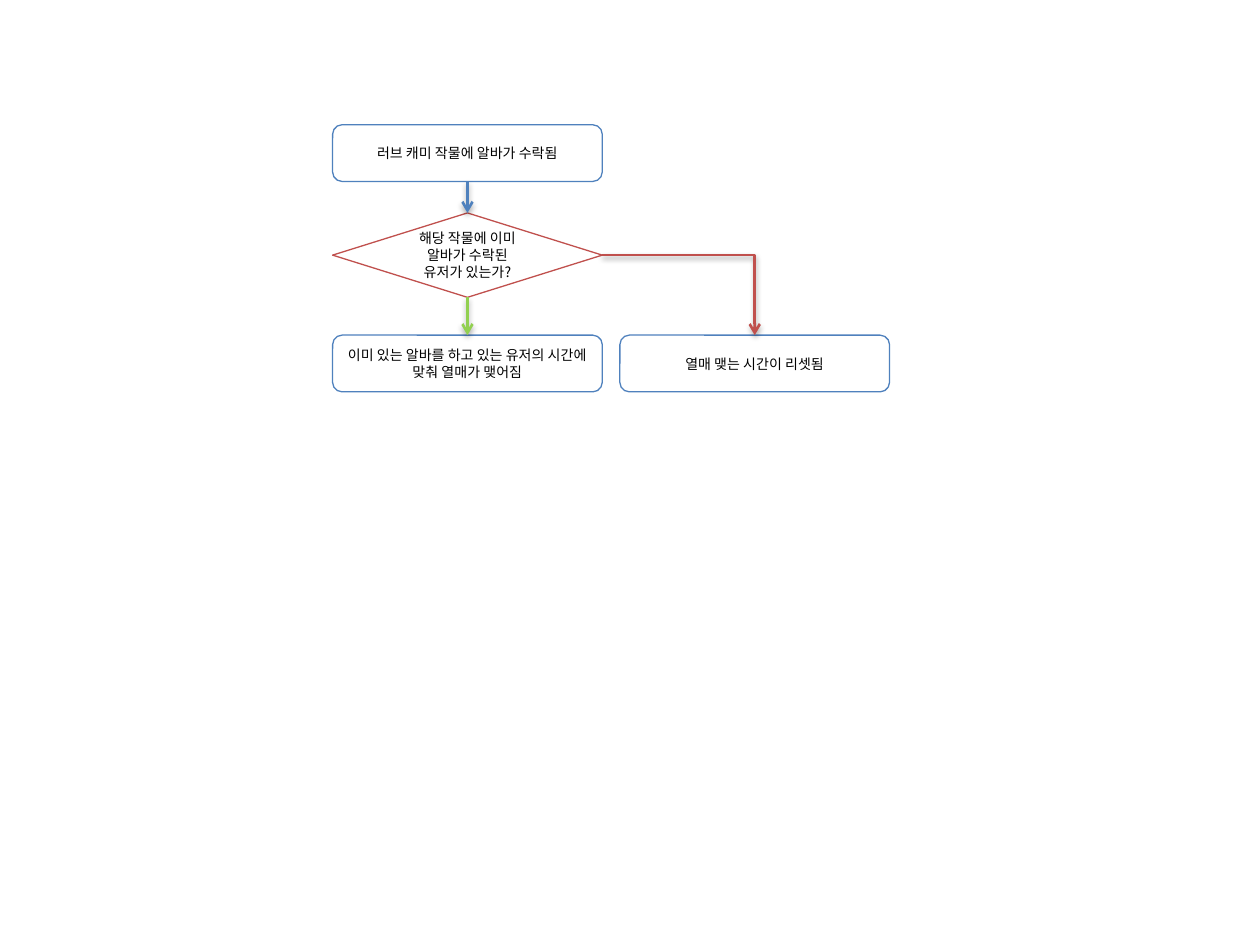
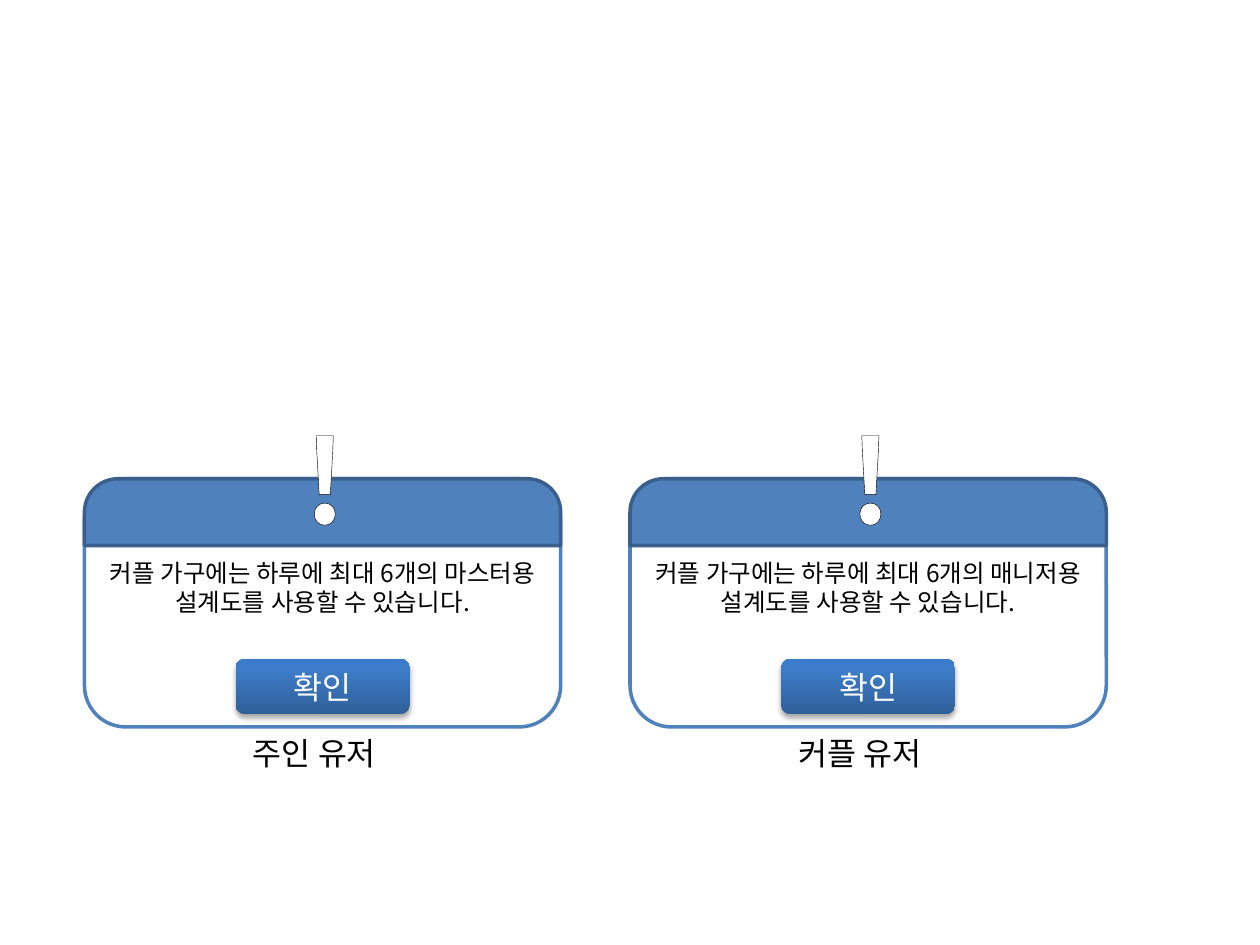
from copy import deepcopy
from typing import NamedTuple

from lxml import etree
from pptx import Presentation
from pptx.dml.color import RGBColor
from pptx.enum.shapes import MSO_CONNECTOR, MSO_SHAPE
from pptx.enum.text import MSO_ANCHOR, MSO_AUTO_SIZE, PP_ALIGN
from pptx.oxml.ns import qn
from pptx.util import Inches, Pt

ROUND = MSO_SHAPE.ROUNDED_RECTANGLE
DECISION = MSO_SHAPE.FLOWCHART_DECISION
HEADER = MSO_SHAPE.ROUND_2_SAME_RECTANGLE
STRAIGHT, ELBOW = MSO_CONNECTOR.STRAIGHT, MSO_CONNECTOR.ELBOW
TOP, MIDDLE = MSO_ANCHOR.TOP, MSO_ANCHOR.MIDDLE
CENTER, LEFT = PP_ALIGN.CENTER, PP_ALIGN.LEFT
FIT = MSO_AUTO_SIZE.SHAPE_TO_FIT_TEXT
TOP_SIDE, BOTTOM_SIDE, RIGHT_SIDE = 0, 2, 3

FONT = "Noto Sans CJK KR"
BLACK = RGBColor(0x00, 0x00, 0x00)
WHITE = RGBColor(0xFF, 0xFF, 0xFF)
BLUE = RGBColor(0x4F, 0x81, 0xBD)
DARK_BLUE = RGBColor(0x3A, 0x5F, 0x8C)
RED = RGBColor(0xC0, 0x50, 0x4D)
GREEN = RGBColor(0x92, 0xD0, 0x50)
BUTTON_STOPS = (
    (0, RGBColor(0x2F, 0x5F, 0x99)),
    (0.8, RGBColor(0x3D, 0x7C, 0xC7)),
    (1, RGBColor(0x3A, 0x7C, 0xCB)),
)


class Box(NamedTuple):
    left: float
    top: float
    width: float
    height: float


class Step(NamedTuple):
    name: str
    kind: int
    box: Box
    color: RGBColor
    text: str


class Arrow(NamedTuple):
    kind: int
    start: str
    start_side: int
    end: str
    color: RGBColor


class Dialog(NamedTuple):
    message: str
    caption: str


# Flow chart: a main column and a branch on its right
STEP_W, STEP_H = 2.14, 0.45
MAIN_X, BRANCH_X, RESULT_Y = 2.64, 4.92, 2.66
STEPS = (
    Step("accepted", ROUND, Box(MAIN_X, 0.99, STEP_W, STEP_H), BLUE,
         "러브 캐미 작물에 알바가 수락됨"),
    Step("shared", ROUND, Box(MAIN_X, RESULT_Y, STEP_W, STEP_H), BLUE,
         "이미 있는 알바를 하고 있는 유저의 시간에 맞춰 열매가 맺어짐"),
    Step("check", DECISION, Box(MAIN_X, 1.69, STEP_W, 0.67), RED,
         "해당 작물에 이미 알바가 수락된 유저가 있는가?"),
    Step("reset", ROUND, Box(BRANCH_X, RESULT_Y, STEP_W, STEP_H), BLUE,
         "열매 맺는 시간이 리셋됨"),
)
ARROWS = (
    Arrow(STRAIGHT, "accepted", BOTTOM_SIDE, "check", BLUE),
    Arrow(ELBOW, "check", RIGHT_SIDE, "reset", RED),
    Arrow(STRAIGHT, "check", BOTTOM_SIDE, "shared", GREEN),
)

# Dialogs: one for each kind of user
DIALOG_X, DIALOG_Y, DIALOG_W, DIALOG_PITCH = 0.67, 3.8, 3.78, 4.33
DIALOGS = (
    Dialog("커플 가구에는 하루에 최대 6개의 마스터용 설계도를 사용할 수 있습니다.",
           "주인 유저"),
    Dialog("커플 가구에는 하루에 최대 6개의 매니저용 설계도를 사용할 수 있습니다.",
           "커플 유저"),
)


def place(box: Box) -> list:
    return [Inches(v) for v in box]


def write(s, text: str, size: float, color: RGBColor, align=CENTER,
          bold: bool = False):
    """Put one run of text in a shape and return the run."""
    p = s.text_frame.paragraphs[0]
    p.alignment = align
    r = p.add_run()
    r.text = text
    for name, value in {"size": Pt(size), "name": FONT, "bold": bold}.items():
        setattr(r.font, name, value)
    r.font.color.rgb = color
    etree.SubElement(r.font._element, qn("a:ea"), typeface=FONT)
    return r


def add_box(slide, kind: int, box: Box, fill: RGBColor | None,
            line: RGBColor | None, line_width: float = 0.75, anchor=MIDDLE):
    s = slide.shapes.add_shape(kind, *place(box))
    if fill is not None:
        s.fill.solid()
        s.fill.fore_color.rgb = fill
    if line is None:
        s.line.fill.background()
    else:
        s.line.color.rgb = line
        s.line.width = Pt(line_width)
    s.shadow.inherit = False
    s.text_frame.word_wrap = True
    s.text_frame.vertical_anchor = anchor
    return s


def add_label(slide, box: Box, text: str, size: float, color: RGBColor,
              bold: bool = False):
    s = slide.shapes.add_textbox(*place(box))
    s.text_frame.word_wrap = False
    s.text_frame.auto_size = FIT
    return write(s, text, size, color, LEFT, bold)


def add_shadow(s) -> None:
    """Give a shape or connector a soft shadow below it."""
    sp_pr = s._element.spPr
    effects = sp_pr.find(qn("a:effectLst"))
    if effects is None:
        effects = etree.SubElement(sp_pr, qn("a:effectLst"))
    shadow = etree.SubElement(effects, qn("a:outerShdw"), blurRad="40000",
                              dist="23000", dir="5400000", rotWithShape="0")
    color = etree.SubElement(shadow, qn("a:srgbClr"), val=str(BLACK))
    etree.SubElement(color, qn("a:alpha"), val="35000")


def add_arrow(slide, arrow: Arrow, shapes: dict) -> None:
    s = slide.shapes.add_connector(arrow.kind, 0, 0, 0, 0)
    s.begin_connect(shapes[arrow.start], arrow.start_side)
    s.end_connect(shapes[arrow.end], TOP_SIDE)
    if arrow.kind == ELBOW:  # a single bend
        s._element.spPr.find(qn("a:prstGeom")).set("prst", "bentConnector2")
    s.line.color.rgb = arrow.color
    s.line.width = Pt(1.5)
    etree.SubElement(s.line._get_or_add_ln(), qn("a:tailEnd"), type="arrow")
    add_shadow(s)


def add_button(slide, box: Box, text: str) -> None:
    s = add_box(slide, ROUND, box, None, None)
    s.fill.gradient()
    s.fill.gradient_angle = 90
    stops = s._element.spPr.find(".//" + qn("a:gsLst"))
    stops.insert(1, deepcopy(stops[0]))
    for stop, (position, color) in zip(s.fill.gradient_stops, BUTTON_STOPS):
        stop.position = position
        stop.color.rgb = color
    add_shadow(s)
    write(s, text, 18, WHITE)


def add_dialog(slide, left: float, dialog: Dialog) -> None:
    # Body, with its message below the header
    body = add_box(slide, ROUND, Box(left, DIALOG_Y, DIALOG_W, 1.97),
                   WHITE, BLUE, 2, TOP)
    body.text_frame.margin_top = Inches(0.53)
    write(body, dialog.message, 14, BLACK)
    add_button(slide, Box(left + 1.2, 5.23, 1.38, 0.44), "확인")

    # Header and its outlined mark
    header = add_box(slide, HEADER, Box(left, DIALOG_Y, DIALOG_W, 0.53),
                     BLUE, DARK_BLUE, 2)
    header.adjustments[0] = 0.5
    header.adjustments[1] = 0
    mark = add_label(slide, Box(left + 1.64, 3.19, 0.5, 1.21), "!", 66,
                     WHITE, True)
    outline = etree.Element(qn("a:ln"), w=str(Pt(0.75)))
    fill = etree.SubElement(outline, qn("a:solidFill"))
    etree.SubElement(fill, qn("a:srgbClr"), val=str(BLACK))
    mark.font._element.insert(0, outline)

    add_label(slide, Box(left + 1.24, 5.78, 1.3, 0.4), dialog.caption, 18,
              BLACK)


def build_flow(slide) -> None:
    shapes = {}
    for step in STEPS:
        s = add_box(slide, step.kind, step.box, WHITE, step.color)
        write(s, step.text, 8, BLACK)
        shapes[step.name] = s
    for arrow in ARROWS:
        add_arrow(slide, arrow, shapes)


def build_dialogs(slide) -> None:
    for i, dialog in enumerate(DIALOGS):
        add_dialog(slide, DIALOG_X + i * DIALOG_PITCH, dialog)


def main() -> None:
    prs = Presentation()
    prs.slide_width, prs.slide_height = Inches(10), Inches(7.5)
    for build in (build_flow, build_dialogs):
        build(prs.slides.add_slide(prs.slide_layouts[6]))
    prs.save("out.pptx")


if __name__ == "__main__":
    main()
